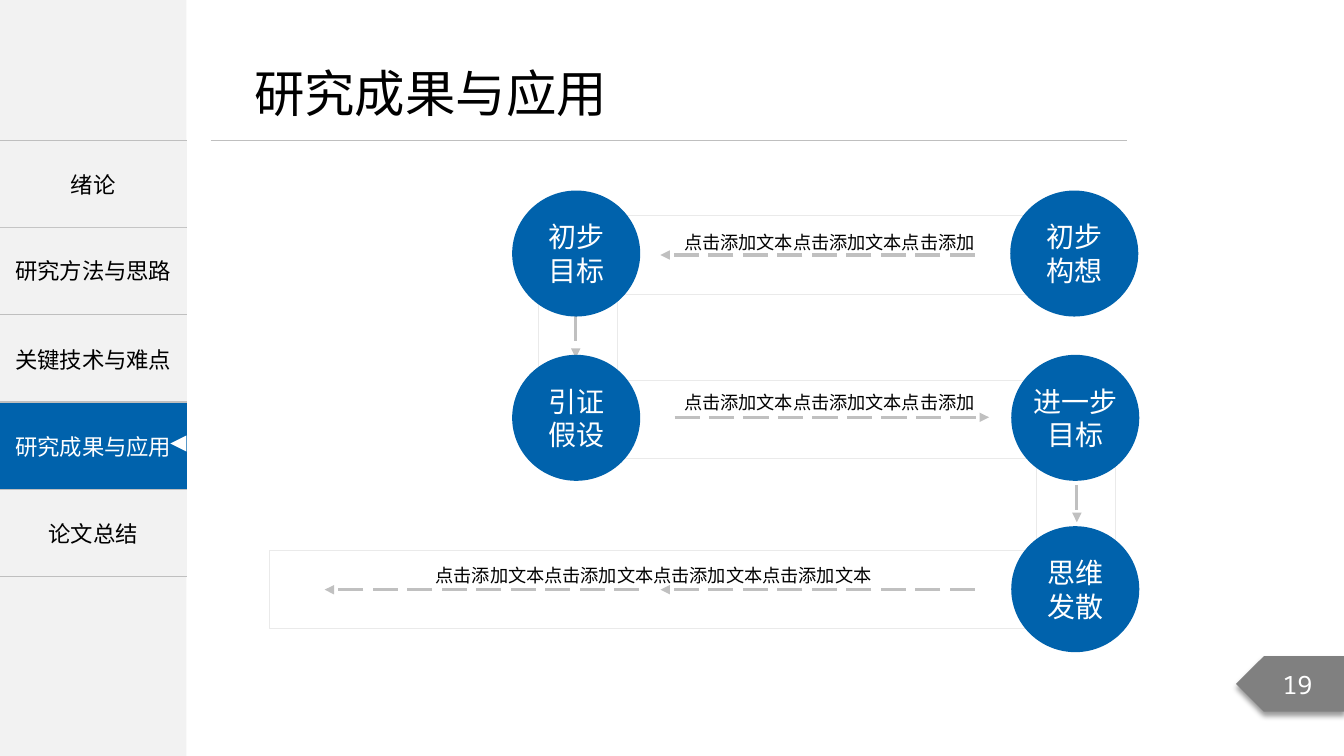
from dataclasses import dataclass

from lxml import etree
from pptx import Presentation
from pptx import util as u
from pptx.dml.color import RGBColor
from pptx.enum import dml, shapes, text
from pptx.oxml.ns import qn


@dataclass(frozen=True)
class Theme:
    blue: str = "0062AC"
    white: str = "FFFFFF"
    black: str = "000000"
    panel: str = "F2F2F2"
    rule: str = "BFBFBF"
    frame: str = "EAEAEA"
    arrow: str = "C0C0C0"
    badge: str = "808080"
    sans: str = "Noto Sans CJK SC"
    latin: str = "Calibri"
    mono: str = "Noto Sans Mono"
    title: int = 36
    node: int = 20
    page: int = 18
    menu: int = 16
    note: int = 13


def add(parent, tag, **attrs):
    """Append a DrawingML element."""
    return etree.SubElement(parent, qn("a:" + tag), attrs)


class Deck:
    def __init__(self, theme):
        self.theme = theme
        self.prs = Presentation()
        self.prs.slide_width = u.Inches(13.33)
        self.prs.slide_height = u.Inches(7.5)
        self.slide = self.prs.slides.add_slide(self.prs.slide_layouts[5])
        self.items = self.slide.shapes

    def label(self, frame, lines, size, color, face, align=text.PP_ALIGN.CENTER, space=None):
        for i, line in enumerate(lines):
            para = frame.paragraphs[0] if i == 0 else frame.add_paragraph()
            para.alignment = align
            para.line_spacing = space
            run = para.add_run()
            run.text = line
            run.font.size = u.Pt(size)
            run.font.name = face
            run.font.color.rgb = RGBColor.from_string(color)
            if face == self.theme.sans:
                add(run.font._element, "ea", typeface=face)

    def fit(self, frame, wrap, inset=True):
        frame.word_wrap = wrap
        frame.vertical_anchor = text.MSO_ANCHOR.MIDDLE
        if inset:
            frame.margin_left = frame.margin_right = u.Inches(0.08)
            frame.margin_top = frame.margin_bottom = u.Inches(0.04)

    def title(self, words, box):
        shape = self.items.title
        shape.left, shape.top, shape.width, shape.height = map(u.Inches, box)
        frame = shape.text_frame
        frame.word_wrap = False
        frame.auto_size = text.MSO_AUTO_SIZE.SHAPE_TO_FIT_TEXT
        frame.vertical_anchor = text.MSO_ANCHOR.TOP
        self.label(frame, [words], self.theme.title, self.theme.black,
                   self.theme.sans, text.PP_ALIGN.LEFT)

    def shape(self, kind, box, fill, line=None, turn=0):
        shape = self.items.add_shape(kind, *map(u.Inches, box))
        shape.shadow.inherit = False
        shape.rotation = turn
        shape.fill.solid()
        shape.fill.fore_color.rgb = RGBColor.from_string(fill)
        if line:
            shape.line.color.rgb = RGBColor.from_string(line)
            shape.line.width = u.Pt(0.75)
        else:
            shape.line.fill.background()
        return shape

    def rect(self, box, fill, line=None, turn=0):
        return self.shape(shapes.MSO_SHAPE.RECTANGLE, box, fill, line, turn)

    def band(self, box, turn=0):
        self.rect(box, self.theme.white, self.theme.frame, turn)

    def node(self, x, y, lines):
        shape = self.shape(shapes.MSO_SHAPE.OVAL, (x, y, 1.27, 1.25), self.theme.blue)
        self.fit(shape.text_frame, False)
        self.label(shape.text_frame, lines, self.theme.node, self.theme.white, self.theme.latin)

    def note(self, box, words):
        frame = self.items.add_textbox(*map(u.Inches, box)).text_frame
        self.fit(frame, True)
        frame.auto_size = text.MSO_AUTO_SIZE.SHAPE_TO_FIT_TEXT
        self.label(frame, [words], self.theme.note, self.theme.black, self.theme.sans, space=1.5)

    def line(self, start, end, color, width):
        link = self.items.add_connector(shapes.MSO_CONNECTOR.STRAIGHT,
                                        *map(u.Inches, (*start, *end)))
        link.line.color.rgb = RGBColor.from_string(color)
        link.line.width = u.Pt(width)
        add(link._element.spPr, "effectLst")
        return link

    def arrow(self, start, end):
        link = self.line(start, end, self.theme.arrow, 2.25)
        link.line.dash_style = dml.MSO_LINE.LONG_DASH
        add(link.line._get_or_add_ln(), "tailEnd", type="triangle")

    def edge(self, cell):
        """Rule a table cell above and below."""
        props = cell._tc.get_or_add_tcPr()
        for i, tag in enumerate(("lnT", "lnB")):
            ln = add(props, tag, w=str(u.Pt(1)))
            add(add(ln, "solidFill"), "srgbClr", val=self.theme.rule)
            props.insert(i, ln)

    def menu(self, names, active, box):
        table = self.items.add_table(len(names), 1, *map(u.Inches, box)).table
        table.first_row = table.horz_banding = False
        style = table._tbl.tblPr.find(qn("a:tableStyleId"))
        style.text = "{2D5ABB26-0587-4C30-8999-92F81FD0307C}"
        for i, name in enumerate(names):
            cell, on = table.cell(i, 0), i == active
            cell.vertical_anchor = text.MSO_ANCHOR.MIDDLE
            cell.fill.solid()
            cell.fill.fore_color.rgb = RGBColor.from_string(
                self.theme.blue if on else self.theme.panel)
            self.edge(cell)
            if name:
                self.label(cell.text_frame, [name], self.theme.menu,
                           self.theme.white if on else self.theme.black, self.theme.sans)

    def tab(self, box, name):
        shape = self.rect(box, self.theme.panel)
        self.fit(shape.text_frame, True, False)
        self.label(shape.text_frame, [name], self.theme.menu, self.theme.black, self.theme.sans)

    def badge(self, box, number):
        shape = self.shape(shapes.MSO_SHAPE.PENTAGON, box, self.theme.badge)
        shape._element.spPr.xfrm.set("flipH", "1")
        glow = add(shape._element.spPr.find(qn("a:effectLst")), "outerShdw",
                   blurRad=str(u.Pt(4)), dist=str(u.Pt(3)), dir="5400000",
                   algn="t", rotWithShape="0")
        add(add(glow, "srgbClr", val=self.theme.black), "alpha", val="40000")
        self.fit(shape.text_frame, True, False)
        self.label(shape.text_frame, [number], self.theme.page, self.theme.white, self.theme.mono)


def main():
    theme = Theme()
    deck = Deck(theme)

    deck.rect((0, 0, 1.85, 7.5), theme.panel)
    deck.menu(["绪论", "", "关键技术与难点", "研究成果与应用", "论文总结"], 3,
              (0, 1.39, 1.85, 4.33))
    deck.tab((0, 2.26, 1.85, 0.84), "研究方法与思路")
    deck.line((2.09, 1.39), (11.18, 1.39), theme.rule, 0.5)
    deck.title("研究成果与应用", (2.42, 0.57, 3.74, 0.71))
    deck.badge((12.26, 6.51, 1.08, 0.55), "19")
    deck.shape(shapes.MSO_SHAPE.ISOSCELES_TRIANGLE, (1.69, 4.32, 0.16, 0.16),
               theme.white, turn=270)

    for x, y, wide, turn in [(2.67, 5.46, 8.38, 0), (5.64, 3.77, 5.42, 0),
                             (9.6, 4.82, 2.14, 90), (6.08, 2.14, 4.97, 0),
                             (4.53, 2.96, 2.4, 90)]:
        deck.band((x, y, wide, 0.78), turn)

    for start, end in [((9.67, 5.85), (6.55, 5.85)), ((6.34, 5.85), (3.22, 5.85)),
                       ((6.69, 4.14), (9.81, 4.14)), ((9.67, 2.53), (6.55, 2.53)),
                       ((10.68, 4.81), (10.68, 5.18)), ((5.71, 3.13), (5.71, 3.55))]:
        deck.arrow(start, end)

    for x, y, lines in [(10.02, 1.89, ("初步", "构想")), (5.08, 1.89, ("初步", "目标")),
                        (5.08, 3.52, ("引证", "假设")), (10.03, 3.52, ("进一步", "目标")),
                        (10.03, 5.22, ("思维", "发散"))]:
        deck.node(x, y, lines)

    phrase = "点击添加文本"
    for y in (2.14, 3.73):
        deck.note((6.58, y, 3.29, 0.42), phrase * 2 + "点击添加")
    deck.note((3.29, 5.44, 6.38, 0.42), phrase * 4)

    deck.prs.save("out.pptx")


if __name__ == "__main__":
    main()
